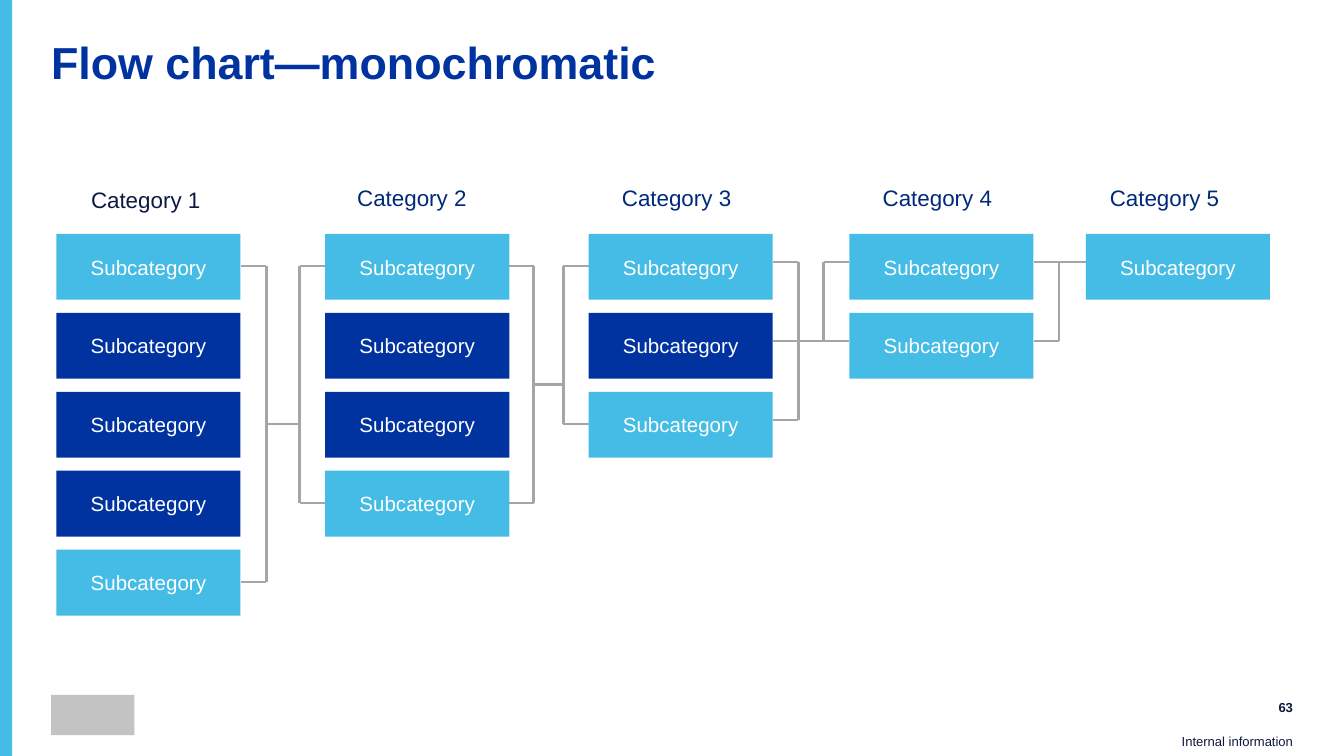
from dataclasses import dataclass

from pptx import Presentation
from pptx import util as u
from pptx.dml.color import RGBColor
from pptx.enum import shapes, text
from pptx.oxml import xmlchemy

SKY = RGBColor(0x45, 0xBC, 0xE5)
BLUE = RGBColor(0x00, 0x33, 0xA0)
NAVY = RGBColor(0x00, 0x29, 0x7A)
INK = RGBColor(0x0E, 0x19, 0x41)
GRAY = RGBColor(0xA5, 0xA5, 0xA5)
PALE = RGBColor(0xC3, 0xC3, 0xC3)
WHITE = RGBColor(0xFF, 0xFF, 0xFF)

FONT = "Arial"
PAGE_WIDTH = 10
PAGE_HEIGHT = PAGE_WIDTH * 9 / 16
FIRST_TOP, LAST_TOP, ROW_COUNT = 1.74, 4.09, 5
ROW_STEP = (LAST_TOP - FIRST_TOP) / (ROW_COUNT - 1)
CARD_WIDTH, CARD_HEIGHT = 1.37, 0.49


@dataclass
class Column:
    title: str
    title_left: float
    left: float
    fills: list[RGBColor]
    title_color: RGBColor = NAVY
    title_spacing: float = 0.9


@dataclass
class Bracket:
    """A vertical trunk with one arm for each listed row."""
    trunk: float
    arm_end: float
    rows: list[int]


@dataclass
class Junction:
    """Brackets with a link between columns; rows count from first_y."""
    first_y: float
    brackets: list[Bracket]
    link_start: float
    link_end: float
    link_row: float


COLUMNS = [
    Column("Category 1", 0.41, 0.42, [SKY, BLUE, BLUE, BLUE, SKY], INK, 1.0),
    Column("Category 2", 2.39, 2.42, [SKY, BLUE, BLUE, SKY]),
    Column("Category 3", 4.36, 4.38, [SKY, BLUE, SKY]),
    Column("Category 4", 6.30, 6.32, [SKY, SKY]),
    Column("Category 5", 7.99, 8.08, [SKY]),
]

JUNCTIONS = [
    Junction(1.98, [Bracket(1.98, 1.79, [0, 4]), Bracket(2.23, 2.42, [0, 3])],
             1.98, 2.22, 2),
    Junction(1.98, [Bracket(3.97, 3.78, [0, 3]), Bracket(4.19, 4.38, [0, 2])],
             3.98, 4.20, 1.5),
    Junction(1.95, [Bracket(5.94, 5.75, [0, 1, 2]), Bracket(6.13, 6.32, [0, 1])],
             5.94, 6.14, 1),
    Junction(1.95, [Bracket(7.88, 7.69, [0, 1])], 7.88, 8.12, 0),
]


def write(box, words: str, size: float, color: RGBColor, align, anchor,
          bold: bool = False, spacing: float = 1.0,
          insets: tuple = (0, 0, 0, 0)) -> None:
    frame = box.text_frame
    frame.word_wrap = True
    frame.vertical_anchor = anchor
    (frame.margin_left, frame.margin_top,
     frame.margin_right, frame.margin_bottom) = map(u.Inches, insets)
    frame.text = words
    para = frame.paragraphs[0]
    para.alignment = align
    para.line_spacing = spacing
    font = para.runs[0].font
    font.name, font.size, font.bold = FONT, u.Pt(size), bold
    font.color.rgb = color


def add_text(page, left: float, top: float, width: float, height: float):
    return page.shapes.add_textbox(*map(u.Inches, (left, top, width, height)))


def add_block(page, left: float, top: float, width: float, height: float,
              fill: RGBColor):
    block = page.shapes.add_shape(shapes.MSO_SHAPE.RECTANGLE,
                                  *map(u.Inches, (left, top, width, height)))
    block.shadow.inherit = False
    block.fill.solid()
    block.fill.fore_color.rgb = fill
    block.line.fill.background()
    return block


def add_line(page, x1: float, y1: float, x2: float, y2: float) -> None:
    line = page.shapes.add_connector(shapes.MSO_CONNECTOR.STRAIGHT,
                                     *map(u.Inches, (x1, y1, x2, y2)))
    line.line.color.rgb = GRAY
    line.line.width = u.Pt(1.5)
    line._element.spPr.append(xmlchemy.OxmlElement("a:effectLst"))


def draw_junction(page, junction: Junction) -> None:
    def row_y(row: float) -> float:
        return junction.first_y + row * ROW_STEP

    for bracket in junction.brackets:
        add_line(page, bracket.trunk, row_y(bracket.rows[-1]),
                 bracket.trunk, row_y(bracket.rows[0]))
        for row in bracket.rows:
            add_line(page, bracket.trunk, row_y(row), bracket.arm_end, row_y(row))
    link_y = row_y(junction.link_row)
    add_line(page, junction.link_start, link_y, junction.link_end, link_y)


def draw_column(page, column: Column) -> None:
    for row, fill in enumerate(column.fills):
        card = add_block(page, column.left, FIRST_TOP + row * ROW_STEP,
                         CARD_WIDTH, CARD_HEIGHT, fill)
        write(card, "Subcategory", 11, WHITE, text.PP_ALIGN.CENTER,
              text.MSO_ANCHOR.MIDDLE, insets=(0.07, 0.04, 0.07, 0.04))
    heading = add_text(page, column.title_left, 1.37, 1.35, 0.23)
    write(heading, column.title, 12, column.title_color, text.PP_ALIGN.CENTER,
          text.MSO_ANCHOR.MIDDLE, spacing=column.title_spacing)


def main() -> None:
    deck = Presentation()
    deck.slide_width = u.Inches(PAGE_WIDTH)
    deck.slide_height = u.Inches(PAGE_HEIGHT)
    page = deck.slides.add_slide(deck.slide_layouts[6])

    # Side band, logo place and footer
    add_block(page, 0, 0, 0.09, PAGE_HEIGHT, SKY)
    add_block(page, 0.38, 5.17, 0.62, 0.3, PALE)
    write(add_text(page, 8.72, 5.46, 0.9, 0.16), "Internal information", 7, INK,
          text.PP_ALIGN.RIGHT, text.MSO_ANCHOR.BOTTOM, insets=(0, 0, 0, 0.05))
    write(add_text(page, 9.03, 5.17, 0.59, 0.18), "63", 7, INK,
          text.PP_ALIGN.RIGHT, text.MSO_ANCHOR.MIDDLE, bold=True)

    # Title
    write(add_text(page, 0.38, 0.3, 9.25, 0.49), "Flow chart—monochromatic", 24,
          BLUE, text.PP_ALIGN.LEFT, text.MSO_ANCHOR.TOP, bold=True, spacing=0.9)

    # Flow chart, lines behind the cards
    for junction in JUNCTIONS:
        draw_junction(page, junction)
    for column in COLUMNS:
        draw_column(page, column)

    deck.save("out.pptx")


if __name__ == "__main__":
    main()
